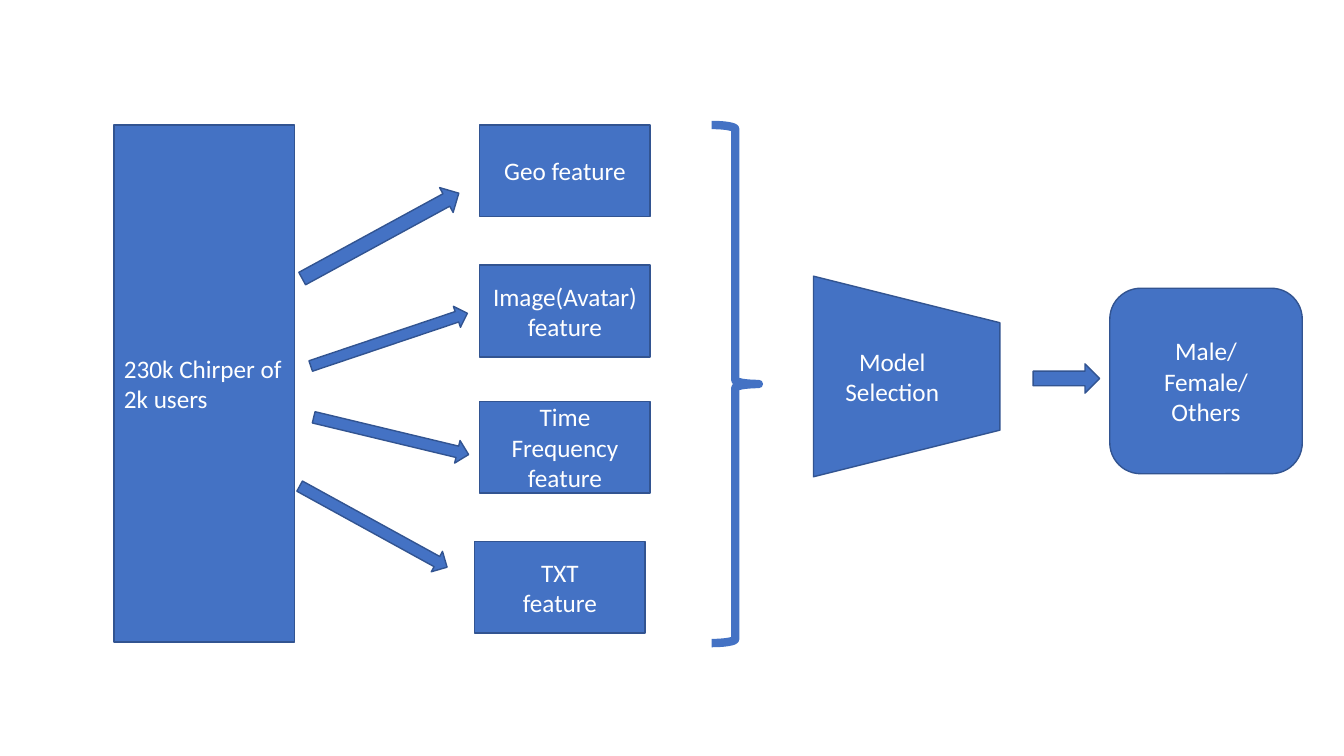
"""Builds a slide showing a feature-based gender classification pipeline."""
from pptx import Presentation
from pptx import util as u
from pptx.dml.color import RGBColor
from pptx.enum import shapes, text

BLUE, OUTLINE, WHITE = "4472C4", "325491", "FFFFFF"
KIND = shapes.MSO_SHAPE
CENTER = text.PP_ALIGN.CENTER
FEATURE_SIZE = (121.7, 65.5)
FEATURES = [
    (342.7, 89.3, ["Geo feature"]),
    (342.7, 189.4, ["Image(Avatar) feature"]),
    (342.7, 286.6, ["Time Frequency", "feature"]),
    (339.1, 386.6, ["TXT", "feature"]),
]
ARROWS = [
    ((208.1, 158.4, 127.4, 20.2), 331.4),
    ((218.9, 234.7, 118.1, 15.8), 341.4),
    ((222.5, 303.1, 113.8, 16.6), 13.5),
    ((206.6, 367.9, 120.2, 16.6), 28.8),
    ((738, 259.9, 47.5, 20.9), 0),
]


def color(value):
    """Return the colour for a hex string."""
    return RGBColor.from_string(value)


def apply_format(target, values):
    """Set each named attribute of the target."""
    for name, value in values.items():
        setattr(target, name, value)


def add_shape(slide, kind, box, fill=BLUE, line=OUTLINE, width=1, rotation=0):
    """Add a preset shape with its box in points."""
    shape = slide.shapes.add_shape(kind, *(u.Pt(value) for value in box))
    shape.shadow.inherit = False
    shape.rotation = rotation
    if fill:
        shape.fill.solid()
        shape.fill.fore_color.rgb = color(fill)
    else:
        shape.fill.background()
    shape.line.color.rgb = color(line)
    shape.line.width = u.Pt(width)
    return shape


def add_label(shape, lines, alignment=CENTER):
    """Write one paragraph per line in the middle of the shape."""
    frame = shape.text_frame
    apply_format(frame, {"word_wrap": True, "vertical_anchor": text.MSO_ANCHOR.MIDDLE})
    frame.text = "\n".join(lines)
    for paragraph in frame.paragraphs:
        paragraph.alignment = alignment
        for run in paragraph.runs:
            apply_format(run.font, {"name": "Calibri", "size": u.Pt(18)})
            run.font.color.rgb = color(WHITE)


def add_model(slide):
    """Add the turned trapezoid whose label stays upright."""
    model = add_shape(slide, KIND.TRAPEZOID, (576, 202.3, 143.3, 133.2), rotation=90)
    add_label(model, ["Model Selection"])
    model.text_frame._txBody.bodyPr.set("vert", "vert270")


def main():
    """Build and save the slide."""
    presentation = Presentation()
    apply_format(presentation, {"slide_width": u.Pt(960), "slide_height": u.Pt(540)})
    slide = presentation.slides.add_slide(presentation.slide_layouts[6])

    users = add_shape(slide, KIND.RECTANGLE, (81.4, 89.3, 128.9, 369.4))
    add_label(users, ["230k Chirper of 2k users"], text.PP_ALIGN.LEFT)
    for left, top, lines in FEATURES:
        feature = add_shape(slide, KIND.RECTANGLE, (left, top, *FEATURE_SIZE))
        add_label(feature, lines)
    for box, rotation in ARROWS:
        add_shape(slide, KIND.RIGHT_ARROW, box, rotation=rotation)
    add_shape(slide, KIND.RIGHT_BRACE, (508.3, 89.3, 33.8, 370.1), None, BLUE, 6)
    add_model(slide)
    result = add_shape(slide, KIND.ROUNDED_RECTANGLE, (792.7, 205.9, 137.5, 132.5))
    add_label(result, ["Male/", "Female/", "Others"])
    presentation.save("out.pptx")


main()
